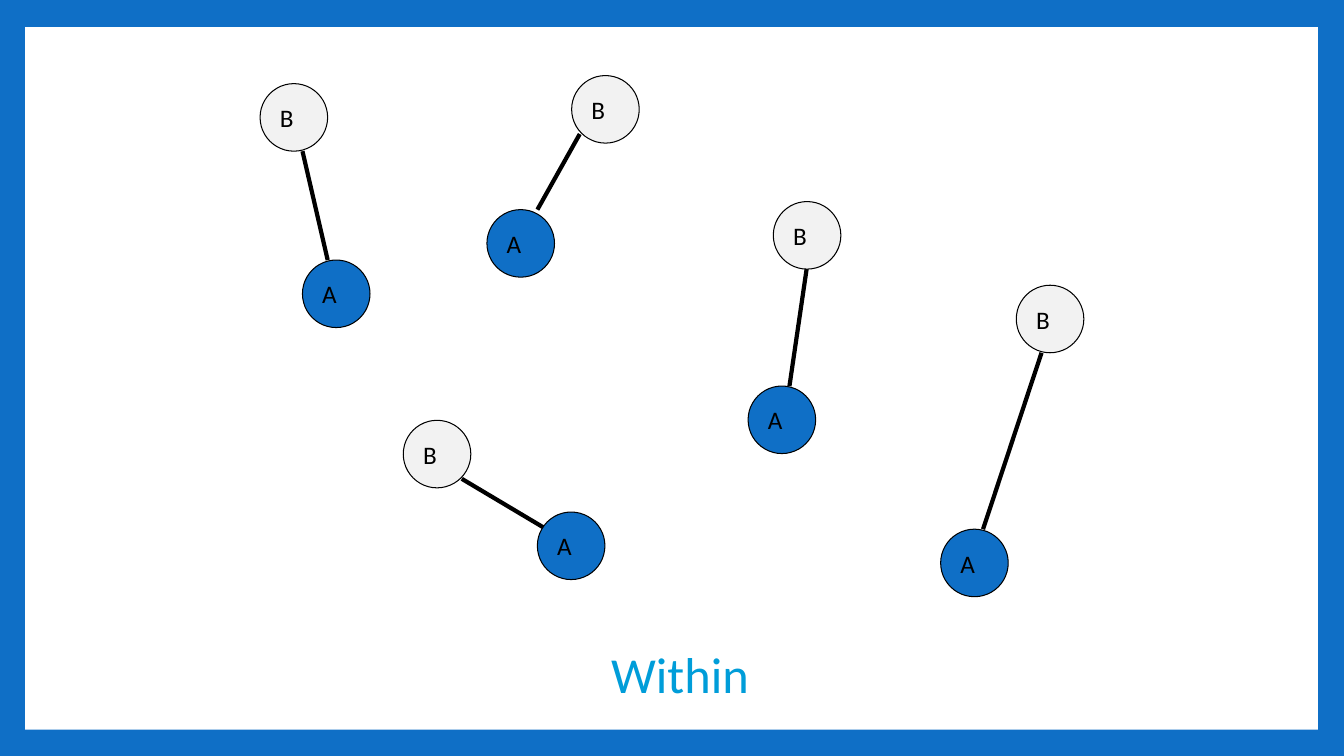
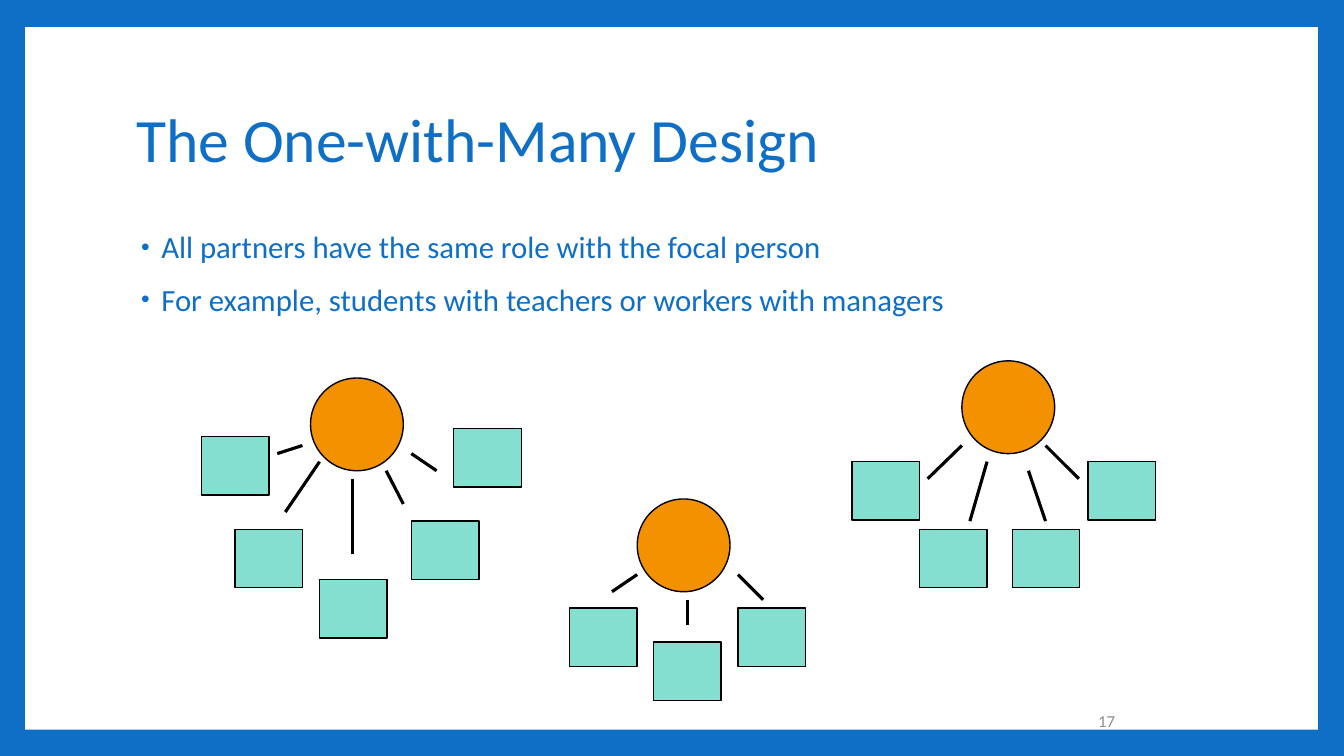
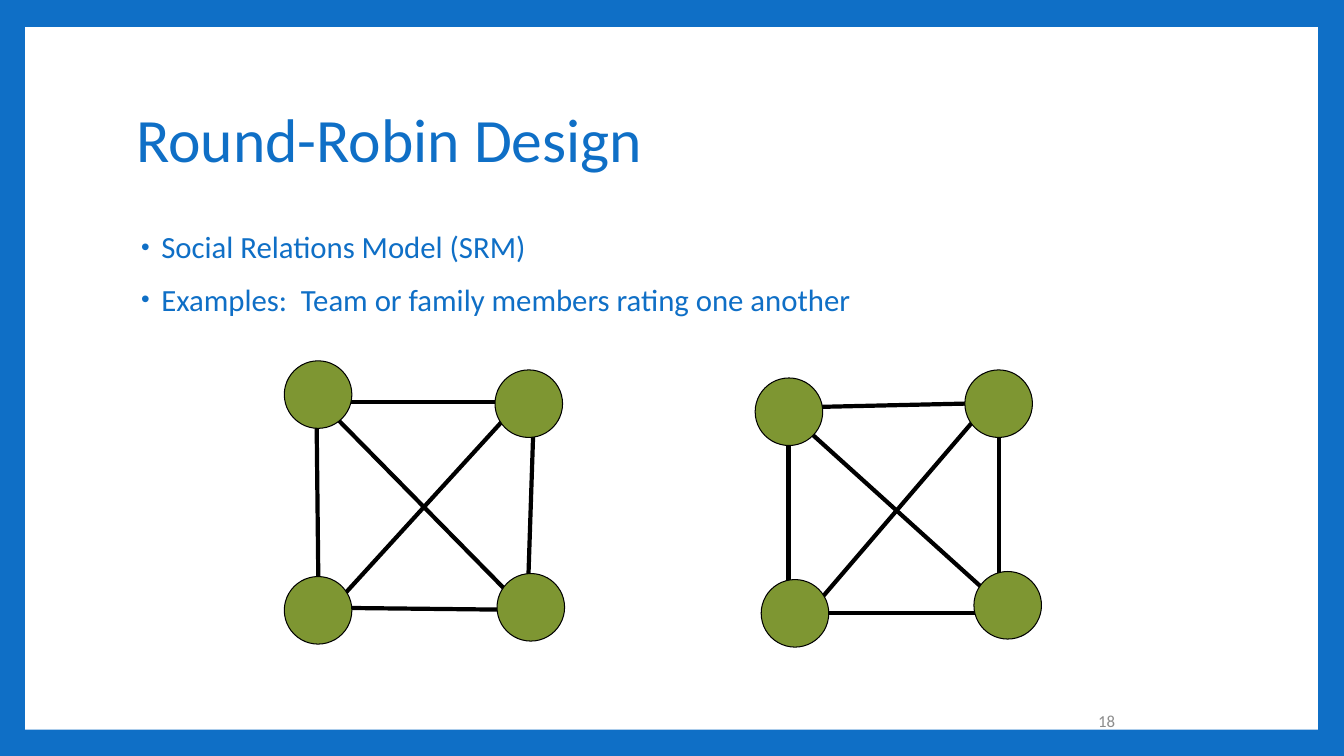
from dataclasses import dataclass

from lxml import etree
from pptx import Presentation
from pptx import util as u
from pptx.dml import color
from pptx.enum import shapes, text
from pptx.oxml import ns


@dataclass(frozen=True)
class Theme:
    font: str = "Calibri"
    blue: str = "0F6FC6"
    caption: str = "009DD9"
    white: str = "FFFFFF"
    black: str = "000000"
    pale: str = "F2F2F2"
    orange: str = "F49100"
    mint: str = "85DFD0"
    olive: str = "7E9632"
    gray: str = "8C8C8C"
    title_pt: int = 44
    caption_pt: int = 36
    body_pt: int = 22
    label_pt: int = 18
    number_pt: int = 12
    thin: float = 0.75
    hub_line: float = 1
    spoke_line: float = 2.25
    thick: float = 3


T = Theme()
OVAL = shapes.MSO_SHAPE.OVAL
RECT = shapes.MSO_SHAPE.RECTANGLE
NODE = (0.67, 0.67)
HUB = (0.92, 0.92)
PARTNER = (0.67, 0.58)


def rgb(value):
    return color.RGBColor.from_string(value)


def add_xml(parent, tag, **attrs):
    return etree.SubElement(parent, ns.qn(tag), **attrs)


class Deck:
    def __init__(self):
        self.prs = Presentation()
        self.prs.slide_width, self.prs.slide_height = u.Inches(13.33), u.Inches(7.5)
        fill = self.prs.slide_master.background.fill
        fill.solid()
        fill.fore_color.rgb = rgb(T.blue)
        self.slide = None

    def new_slide(self, layout):
        first = self.slide is None
        self.slide = self.prs.slides.add_slide(self.prs.slide_layouts[layout])
        if first:
            self.panel()

    def panel(self):
        sp = self.shape(RECT, (0.25, 0.27), (12.82, 6.97), T.white)
        sp.element.nvSpPr.cNvPr.set("id", "20")
        self.prs.slide_master.shapes.element.insert(2, sp.element)

    def content_slide(self, title, bullets, number):
        self.new_slide(1)
        self.title(title)
        self.bullets(bullets)
        self.number(number)

    def place(self, sp, at, size):
        sp.left, sp.top = map(u.Inches, at)
        sp.width, sp.height = map(u.Inches, size)

    def run(self, p, words, size, colour):
        r = p.add_run()
        r.text = words
        r.font.name, r.font.size = T.font, u.Pt(size)
        r.font.color.rgb = rgb(colour)
        return r

    def title(self, words):
        sp = self.slide.shapes.title
        self.place(sp, (1.25, 0.67), (10.8, 1.48))
        tf = sp.text_frame
        tf.auto_size = text.MSO_AUTO_SIZE.NONE
        tf.vertical_anchor = text.MSO_ANCHOR.MIDDLE
        p = tf.paragraphs[0]
        p.alignment, p.line_spacing = text.PP_ALIGN.LEFT, 0.9
        self.run(p, words, T.title_pt, T.blue)

    def bullets(self, items):
        sp = self.slide.placeholders[1]
        self.place(sp, (1.25, 2.25), (10.8, 4.42))
        tf = sp.text_frame
        tf.auto_size = text.MSO_AUTO_SIZE.NONE
        for i, words in enumerate(items):
            p = tf.add_paragraph() if i else tf.paragraphs[0]
            pPr = p._p.get_or_add_pPr()
            pPr.set("marL", str(u.Inches(0.25)))
            pPr.set("indent", str(u.Inches(-0.2)))
            add_xml(add_xml(pPr, "a:buClr"), "a:srgbClr", val=T.blue)
            add_xml(pPr, "a:buSzPct", val="80000")
            add_xml(pPr, "a:buChar", char="•")
            p.line_spacing, p.space_before = 0.9, u.Pt(14 if i else 0)
            self.run(p, words, T.body_pt, T.blue)

    def number(self, value):
        sp = self.slide.shapes.add_textbox(*map(u.Inches, (8.83, 6.95, 2.33, 0.4)))
        tf = sp.text_frame
        tf.word_wrap = True
        tf.vertical_anchor = text.MSO_ANCHOR.MIDDLE
        p = tf.paragraphs[0]
        p.alignment = text.PP_ALIGN.RIGHT
        self.run(p, str(value), T.number_pt, T.gray)

    def shape(self, kind, at, size, fill=None, line=None, weight=T.thin):
        sp = self.slide.shapes.add_shape(kind, *map(u.Inches, at + size))
        sp.shadow.inherit = False
        if fill:
            sp.fill.solid()
            sp.fill.fore_color.rgb = rgb(fill)
        else:
            sp.fill.background()
        if line:
            sp.line.color.rgb, sp.line.width = rgb(line), u.Pt(weight)
        else:
            sp.line.fill.background()
        return sp

    def node(self, at, fill, label=None):
        sp = self.shape(OVAL, at, NODE, fill, T.black)
        if label:
            tf = sp.text_frame
            tf.word_wrap = False
            tf.vertical_anchor = text.MSO_ANCHOR.MIDDLE
            p = tf.paragraphs[0]
            p.alignment = text.PP_ALIGN.LEFT
            self.run(p, label, T.label_pt, T.black)

    def line(self, start, end, weight=T.thick):
        cxn = self.slide.shapes.add_connector(
            shapes.MSO_CONNECTOR.STRAIGHT, *map(u.Inches, start + end))
        cxn.line.color.rgb, cxn.line.width = rgb(T.black), u.Pt(weight)
        add_xml(cxn.element.spPr, "a:effectLst")

    def caption(self, words):
        sp = self.shape(RECT, (5.33, 6.33), (2.83, 0.71), line=T.white)
        tf = sp.text_frame
        tf.word_wrap = False
        tf.vertical_anchor = text.MSO_ANCHOR.TOP
        p = tf.paragraphs[0]
        p.alignment = text.PP_ALIGN.CENTER
        r = self.run(p, words, T.caption_pt, T.caption)
        rPr = r._r.get_or_add_rPr()
        ln = add_xml(rPr, "a:ln", w=str(u.Pt(T.thin)))
        add_xml(add_xml(ln, "a:solidFill"), "a:srgbClr", val=T.white)
        rPr.insert(0, ln)

    def star(self, hub, partners, spokes):
        self.shape(OVAL, hub, HUB, T.orange, T.black, T.hub_line)
        for at in partners:
            self.shape(RECT, at, PARTNER, T.mint, T.black, T.hub_line)
        for start, end in spokes:
            self.line(start, end, T.spoke_line)

    def round_robin(self, members, ties):
        for start, end in ties:
            self.line(start, end)
        for at in members:
            self.node(at, T.olive)


DYADS = [
    ((7.67, 2), (7.42, 3.83), (8, 2.67), (7.83, 3.83)),
    ((4, 4.17), (5.33, 5.08), (4.58, 4.75), (5.42, 5.25)),
    ((10.08, 2.83), (9.33, 5.25), (10.33, 3.5), (9.75, 5.25)),
    ((2.58, 0.83), (3, 2.58), (3, 1.5), (3.25, 2.58)),
    ((5.67, 0.75), (4.83, 2.08), (5.75, 1.33), (5.33, 2.08)),
]

STARS = [
    ((6.32, 4.95),
     [(5.65, 6.03), (6.48, 6.37), (7.32, 6.03)],
     [((6.32, 5.7), (6.07, 5.87)), ((6.82, 5.95), (6.82, 6.2)),
      ((7.32, 5.7), (7.57, 5.95))]),
    ((9.54, 3.58),
     [(8.45, 4.58), (9.12, 5.25), (10.04, 5.25), (10.79, 4.58)],
     [((9.54, 4.42), (9.2, 4.75)), ((9.79, 4.58), (9.62, 5.17)),
      ((10.2, 4.67), (10.37, 5.17)), ((10.37, 4.42), (10.7, 4.75))]),
    ((3.08, 3.75),
     [(2, 4.33), (2.33, 5.25), (3.17, 5.75), (4.08, 5.17), (4.5, 4.25)],
     [((3, 4.42), (2.75, 4.5)), ((3.17, 4.58), (2.83, 5.08)),
      ((3.5, 4.75), (3.5, 5.5)), ((3.83, 4.67), (4, 5)),
      ((4.08, 4.5), (4.33, 4.67))]),
]

ROUND_ROBINS = [
    ([(2.82, 3.58), (4.91, 3.67), (4.93, 5.69), (2.82, 5.72)],
     [((3.14, 4.14), (3.16, 6)), ((5.29, 4.25), (5.24, 5.75)),
      ((3.27, 4.08), (5.08, 5.92)), ((3.32, 6), (4.99, 4.17)),
      ((5.16, 3.99), (3.27, 3.99)), ((3.32, 6.03), (5.16, 6.05))]),
    ([(7.49, 3.75), (9.57, 3.67), (9.66, 5.67), (7.55, 5.75)],
     [((7.82, 4.42), (7.82, 5.75)), ((9.91, 4.33), (9.91, 5.92)),
      ((7.99, 4.25), (9.74, 5.83)), ((8.16, 5.92), (9.66, 4.17)),
      ((9.75, 4), (7.99, 4.04)), ((7.99, 6.08), (9.91, 6.08))]),
]


def main():
    deck = Deck()

    deck.new_slide(6)
    for b, a, start, end in DYADS:
        deck.node(b, T.pale, "B")
        deck.line(start, end)
        deck.node(a, T.blue, "A")
    deck.caption("Within")

    deck.content_slide("The One-with-Many Design", [
        "All partners have the same role with the focal person",
        "For example, students with teachers or workers with managers"], 17)
    for hub, partners, spokes in STARS:
        deck.star(hub, partners, spokes)

    deck.content_slide("Round-Robin Design", [
        "Social Relations Model (SRM)",
        "Examples:  Team or family members rating one another"], 18)
    for members, ties in ROUND_ROBINS:
        deck.round_robin(members, ties)

    deck.prs.save("out.pptx")


if __name__ == "__main__":
    main()
